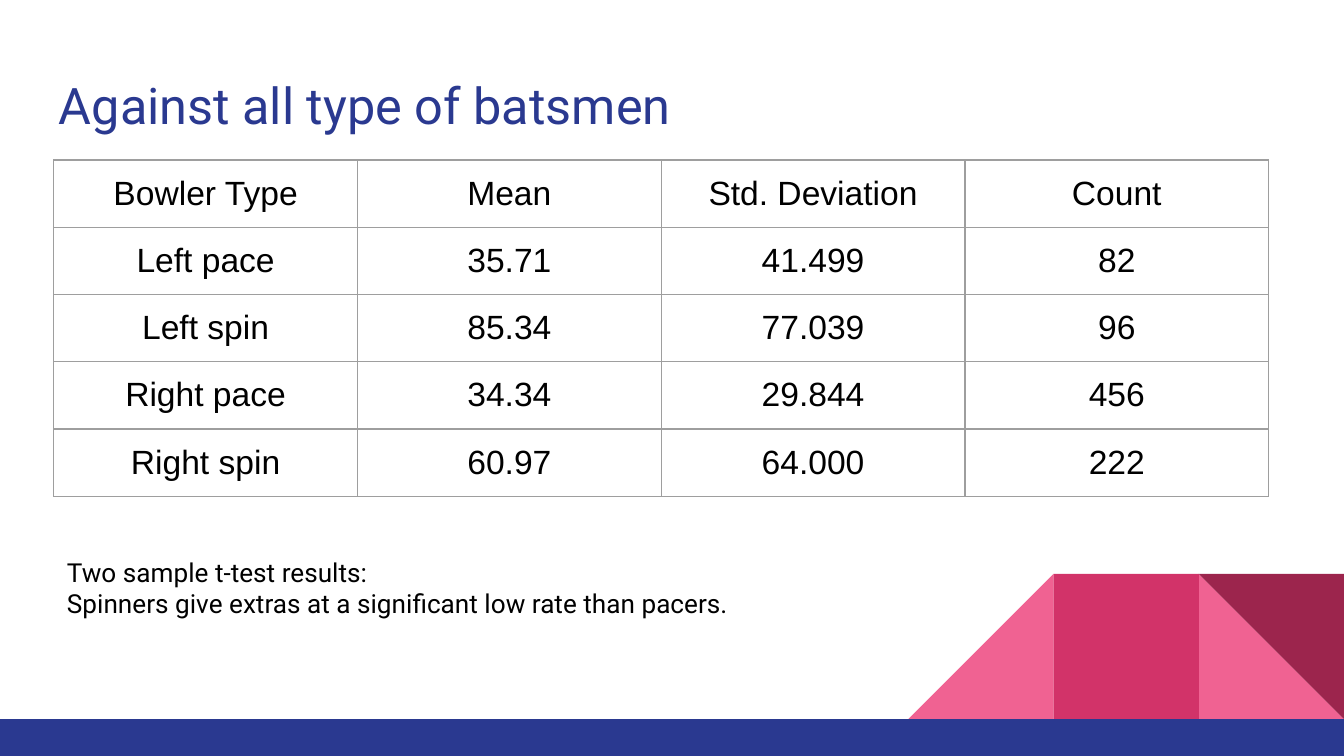
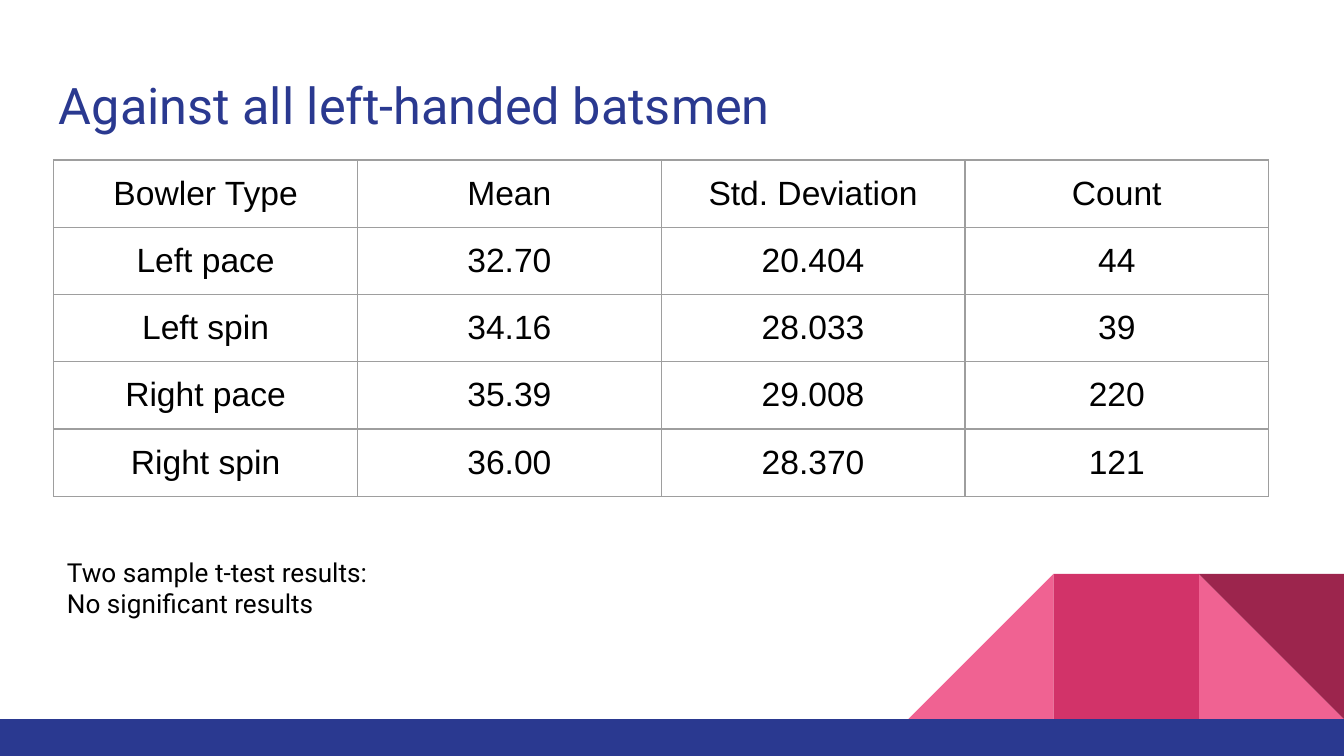
from lxml.etree import SubElement
from pptx import Presentation
from pptx.dml.color import RGBColor
from pptx.enum.shapes import MSO_SHAPE
from pptx.enum.text import MSO_ANCHOR, PP_ALIGN
from pptx.oxml.ns import qn
from pptx.util import Emu, Pt

EMU_PER_PX = 4572
SLIDE_WIDTH, SLIDE_HEIGHT = 2000, 1125
INSET = 20

NAVY = "2A3990"
PINK = "F06292"
ROSE = "D23369"
MAROON = "9C254D"
BLACK = "000000"
GRID = "9E9E9E"

TILE = 216
BAR_TOP = 1070
COLUMN_WIDTH, ROW_HEIGHT = 452, 100

HEADER = ("Bowler Type", "Mean", "Std. Deviation", "Count")
BOWLERS = ("Left pace", "Left spin", "Right pace", "Right spin")
RESULTS = (
    (
        "Against all type of batsmen",
        (("35.71", "41.499", "82"), ("85.34", "77.039", "96"),
         ("34.34", "29.844", "456"), ("60.97", "64.000", "222")),
        "Spinners give extras at a significant low rate than pacers.",
    ),
    (
        "Against all left-handed batsmen",
        (("32.70", "20.404", "44"), ("34.16", "28.033", "39"),
         ("35.39", "29.008", "220"), ("36.00", "28.370", "121")),
        "No significant results",
    ),
)


def px(length):
    """Turn whole px into EMU."""
    return Emu(length * EMU_PER_PX)


def color(hex_value):
    """Turn a hex string into a colour."""
    return RGBColor.from_string(hex_value)


def format_text(text_frame, font_name, size, hex_value, alignment=PP_ALIGN.LEFT):
    """Give every run of a text frame the same look."""
    for paragraph in text_frame.paragraphs:
        paragraph.alignment = alignment
        for run in paragraph.runs:
            run.font.name = font_name
            run.font.size = Pt(size)
            run.font.color.rgb = color(hex_value)


def set_margins(target):
    """Give a text frame or table cell the shared inset on all sides."""
    target.margin_left = target.margin_right = px(INSET)
    target.margin_top = target.margin_bottom = px(INSET)


def add_block(slide, kind, left, top, width, height, fill, rotation=0, flip=False):
    """Add a plain filled shape without outline."""
    shape = slide.shapes.add_shape(kind, px(left), px(top), px(width), px(height))
    shape.shadow.inherit = False
    shape.fill.solid()
    shape.fill.fore_color.rgb = color(fill)
    shape.line.fill.background()
    shape.rotation = rotation
    if flip:
        shape.element.spPr.find(qn("a:xfrm")).set("flipH", "1")


def add_decoration(slide):
    """Add the corner tiles and the bottom bar."""
    top = BAR_TOP - TILE
    left, middle, right = (SLIDE_WIDTH - TILE * count for count in (3, 2, 1))
    triangle, rectangle = MSO_SHAPE.RIGHT_TRIANGLE, MSO_SHAPE.RECTANGLE
    add_block(slide, triangle, right, top, TILE, TILE, PINK)
    add_block(slide, triangle, left, top, TILE, TILE, PINK, flip=True)
    add_block(slide, rectangle, middle, top, TILE, TILE, ROSE)
    add_block(slide, triangle, right, top, TILE, TILE, MAROON, rotation=180)
    add_block(slide, rectangle, 0, BAR_TOP, SLIDE_WIDTH, SLIDE_HEIGHT - BAR_TOP, NAVY)


def add_text(slide, text, left, top, width, height, size, hex_value):
    """Add a wrapped text box in Roboto."""
    shape = slide.shapes.add_textbox(px(left), px(top), px(width), px(height))
    text_frame = shape.text_frame
    text_frame.word_wrap = True
    set_margins(text_frame)
    text_frame.text = text
    format_text(text_frame, "Roboto", size, hex_value)


def add_borders(cell):
    """Draw a thin grey line on each side of a cell."""
    properties = cell._tc.get_or_add_tcPr()
    for side in ("lnL", "lnR", "lnT", "lnB"):
        line = SubElement(properties, qn(f"a:{side}"), w=str(Pt(0.75)))
        fill = SubElement(line, qn("a:solidFill"))
        SubElement(fill, qn("a:srgbClr"), val=GRID)


def add_statistics_table(slide, rows, left, top):
    """Add a plain table of centred text with equal columns and rows."""
    row_count, column_count = len(rows), len(rows[0])
    table = slide.shapes.add_table(
        row_count, column_count, px(left), px(top),
        px(COLUMN_WIDTH * column_count), px(ROW_HEIGHT * row_count),
    ).table
    table.first_row = False
    table.horz_banding = False
    for row_index, values in enumerate(rows):
        for column_index, value in enumerate(values):
            cell = table.cell(row_index, column_index)
            cell.text = value
            cell.vertical_anchor = MSO_ANCHOR.MIDDLE
            set_margins(cell)
            format_text(cell.text_frame, "Arial", 18, BLACK, PP_ALIGN.CENTER)
            add_borders(cell)
            cell.fill.background()


def add_result_slide(presentation, title, statistics, conclusion):
    """Add one slide with title, statistics and test conclusion."""
    slide = presentation.slides.add_slide(presentation.slide_layouts[6])
    add_decoration(slide)
    add_text(slide, title, 68, 90, 1864, 132, 27, NAVY)
    rows = [HEADER] + [(bowler, *values) for bowler, values in zip(BOWLERS, statistics)]
    add_statistics_table(slide, rows, 80, 238)
    add_text(slide, f"Two sample t-test results:\n{conclusion}", 80, 808, 1266, 134, 14, BLACK)


def main():
    """Build and save the presentation."""
    presentation = Presentation()
    presentation.slide_width = px(SLIDE_WIDTH)
    presentation.slide_height = px(SLIDE_HEIGHT)
    for title, statistics, conclusion in RESULTS:
        add_result_slide(presentation, title, statistics, conclusion)
    presentation.save("out.pptx")


if __name__ == "__main__":
    main()
